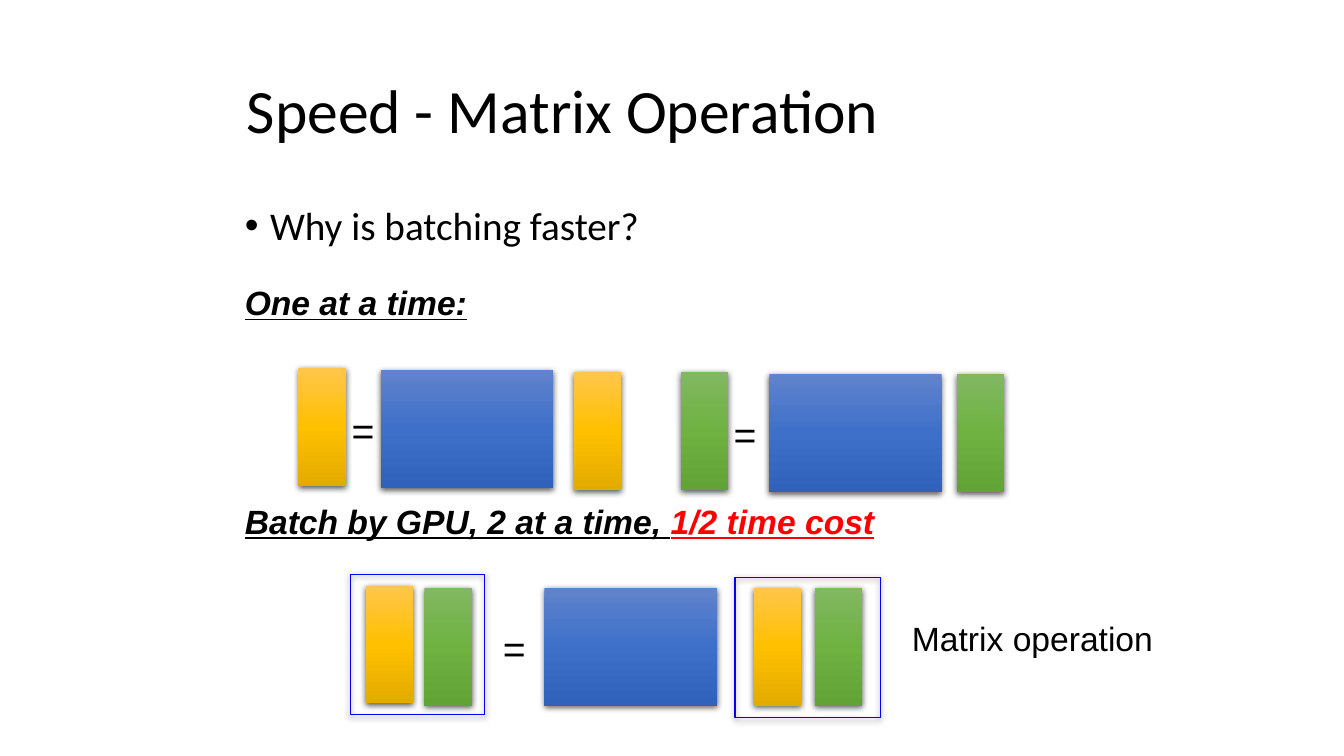
"""Build the slide that explains why batching speeds up matrix operations."""
from copy import deepcopy
from dataclasses import dataclass

from pptx import Presentation
from pptx.dml.color import RGBColor
from pptx.enum.shapes import MSO_SHAPE as Preset
from pptx.enum.text import MSO_ANCHOR as Anchor, MSO_AUTO_SIZE as AutoSize, PP_ALIGN as Align
from pptx.oxml import parse_xml
from pptx.oxml.ns import nsdecls, qn
from pptx.shapes.autoshape import Shape
from pptx.slide import Slide
from pptx.util import Emu, Pt

PX = 9144
COLORS = {"black": "000000", "red": "FF0000", "frame": "0000FF"}
GRADIENTS = {
    "blue": ("6183CB", "3E70CA", "3062BB"),
    "gold": ("FFC64B", "FFC000", "E3AB00"),
    "green": ("81B861", "6FB242", "62A336"),
}
BLOCK_HEIGHT = 117
BLOCK_WIDTHS = {"blue": 171, "gold": 47, "green": 47}


@dataclass(frozen=True)
class Block:
    kind: str
    left: int
    top: int


@dataclass(frozen=True)
class Frame:
    left: int
    top: int
    width: int
    height: int = 139


@dataclass(frozen=True)
class Label:
    runs: tuple[tuple[str, str], ...]
    left: int
    top: int
    width: int
    height: int = 51
    size: int = 24
    font: str = "Arial"
    heading: bool = False
    align: Align = Align.LEFT
    anchor: Anchor = Anchor.TOP
    line_spacing: float = 1.0
    bullet: bool = False


def equals_sign(left: int, top: int) -> Label:
    return Label((("=", "black"),), left, top, 62, 57, size=28, align=Align.CENTER)


BLOCKS = (
    Block("gold", 296, 365), Block("blue", 378, 367), Block("gold", 569, 369),
    Block("green", 675, 369), Block("blue", 763, 371), Block("green", 949, 371),
    Block("gold", 363, 581), Block("green", 421, 583), Block("blue", 540, 583),
    Block("gold", 748, 583), Block("green", 808, 583),
)
FRAMES = (Frame(348, 570, 133), Frame(729, 573, 144))
LABELS = (
    Label((("Speed - Matrix Operation", "black"),), 235, 40, 862, 145, size=44,
          font="Calibri", anchor=Anchor.MIDDLE, line_spacing=0.9),
    Label((("Why is batching faster?", "black"),), 233, 200, 862, 476, size=28,
          font="Calibri", line_spacing=0.9, bullet=True),
    Label((("One at a time:", "black"),), 233, 275, 466, heading=True),
    Label((("Batch by GPU, 2 at a time, ", "black"), ("1/2 time cost", "red")),
          233, 492, 717, heading=True),
    Label((("Matrix operation", "black"),), 878, 608, 292, align=Align.CENTER),
    equals_sign(329, 398), equals_sign(708, 402), equals_sign(479, 614),
)


def px(*lengths: int) -> list[Emu]:
    return [Emu(length * PX) for length in lengths]


def add_shadowed_rectangle(slide: Slide, left: int, top: int, width: int, height: int) -> Shape:
    shape = slide.shapes.add_shape(Preset.RECTANGLE, *px(left, top, width, height))
    shape.shadow.inherit = False
    shape.element.spPr.find(qn("a:effectLst")).append(parse_xml(
        f'<a:outerShdw {nsdecls("a")} blurRad="57150" dist="19050" dir="5400000" '
        'algn="ctr" rotWithShape="0"><a:srgbClr val="000000"><a:alpha val="63000"/>'
        '</a:srgbClr></a:outerShdw>'))
    return shape


def draw_block(slide: Slide, block: Block) -> None:
    shape = add_shadowed_rectangle(
        slide, block.left, block.top, BLOCK_WIDTHS[block.kind], BLOCK_HEIGHT)
    shape.line.fill.background()
    shape.fill.gradient()
    shape.fill.gradient_angle = 270
    stop_list = shape.element.spPr.find(".//" + qn("a:gsLst"))
    stop_list.insert(1, deepcopy(stop_list[0]))
    for index, stop in enumerate(shape.fill.gradient_stops):
        stop.position = index / 2
        stop.color.rgb = RGBColor.from_string(GRADIENTS[block.kind][index])


def draw_frame(slide: Slide, frame: Frame) -> None:
    shape = add_shadowed_rectangle(slide, frame.left, frame.top, frame.width, frame.height)
    shape.fill.background()
    shape.line.color.rgb = RGBColor.from_string(COLORS["frame"])
    shape.line.width = Pt(0.75)


def draw_label(slide: Slide, label: Label) -> None:
    box = slide.shapes.add_textbox(*px(label.left, label.top, label.width, label.height))
    text_frame = box.text_frame
    text_frame.word_wrap = True
    text_frame.auto_size = AutoSize.NONE
    text_frame.vertical_anchor = label.anchor
    paragraph = text_frame.paragraphs[0]
    paragraph.alignment = label.align
    paragraph.line_spacing = label.line_spacing
    if label.bullet:
        properties = paragraph._p.get_or_add_pPr()
        properties.set("marL", "228600")
        properties.set("indent", "-228600")
        properties.append(parse_xml(f'<a:buFont {nsdecls("a")} typeface="Arial"/>'))
        properties.append(parse_xml(f'<a:buChar {nsdecls("a")} char="•"/>'))
    for text, color in label.runs:
        run = paragraph.add_run()
        run.text = text
        run.font.name = label.font
        run.font.size = Pt(label.size)
        run.font.bold = run.font.italic = run.font.underline = label.heading
        run.font.color.rgb = RGBColor.from_string(COLORS[color])


def main() -> None:
    presentation = Presentation()
    presentation.slide_width, presentation.slide_height = px(1333, 750)
    slide = presentation.slides.add_slide(presentation.slide_layouts[6])
    for frame in FRAMES:
        draw_frame(slide, frame)
    for block in BLOCKS:
        draw_block(slide, block)
    for label in LABELS:
        draw_label(slide, label)
    presentation.save("out.pptx")


if __name__ == "__main__":
    main()
